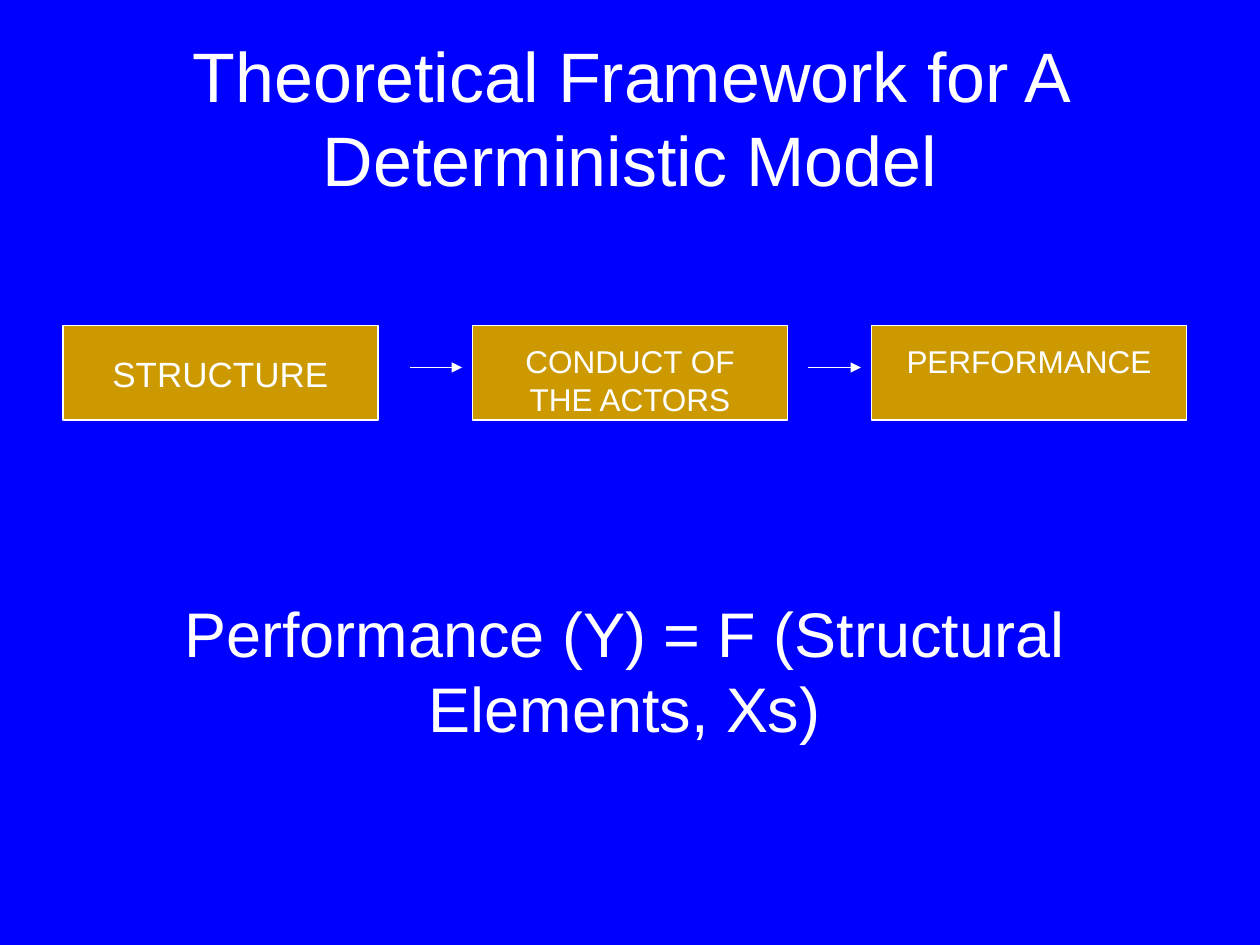
from lxml import etree
from pptx import Presentation
from pptx.dml.color import RGBColor
from pptx.enum import shapes, text
from pptx.oxml import ns
from pptx.util import Pt

WHITE = "FFFFFF"


def rgb(value):
    return RGBColor.from_string(value)


def add_text(s, words, size, left, top, width, height, anchor=text.MSO_ANCHOR.TOP):
    tf = s.shapes.add_textbox(Pt(left), Pt(top), Pt(width), Pt(height)).text_frame
    tf.word_wrap = True
    tf.vertical_anchor = anchor
    p = tf.paragraphs[0]
    p.alignment = text.PP_ALIGN.CENTER
    r = p.add_run()
    r.text = words
    r.font.name = "Arial"
    r.font.size = Pt(size)
    r.font.color.rgb = rgb(WHITE)


prs = Presentation()
prs.slide_width, prs.slide_height = Pt(720), Pt(540)
s = prs.slides.add_slide(prs.slide_layouts[6])
s.background.fill.solid()
s.background.fill.fore_color.rgb = rgb("0000FF")

add_text(s, "Theoretical Framework for A Deterministic Model", 40,
         36, 21.6, 648, 90, text.MSO_ANCHOR.MIDDLE)

# Box left, label, size, and label left, top, width, height
stages = [
    (36, "STRUCTURE", 20, 36, 198, 180, 31),
    (270, "CONDUCT OF THE ACTORS", 18, 276, 192, 168, 50),
    (498, "PERFORMANCE", 18, 504, 192, 168, 29),
]
for i, (left, label, size, *label_area) in enumerate(stages):
    if i:
        arrow = s.shapes.add_connector(shapes.MSO_CONNECTOR.STRAIGHT,
                                       Pt(left - 36), Pt(210), Pt(left - 6), Pt(210))
        arrow.line.color.rgb = rgb(WHITE)
        arrow.line.width = Pt(0.75)
        etree.SubElement(arrow.line._get_or_add_ln(), ns.qn("a:tailEnd"), type="triangle")
        etree.SubElement(arrow._element.spPr, ns.qn("a:effectLst"))

    box = s.shapes.add_shape(shapes.MSO_SHAPE.RECTANGLE, Pt(left), Pt(186), Pt(180), Pt(54))
    box.shadow.inherit = False
    box.fill.solid()
    box.fill.fore_color.rgb = rgb("CC9900")
    box.line.color.rgb = rgb(WHITE)
    box.line.width = Pt(0.75)
    add_text(s, label, size, *label_area)

add_text(s, "Performance (Y) = F (Structural Elements, Xs)", 36, 30, 336, 654, 94)

prs.save("out.pptx")
